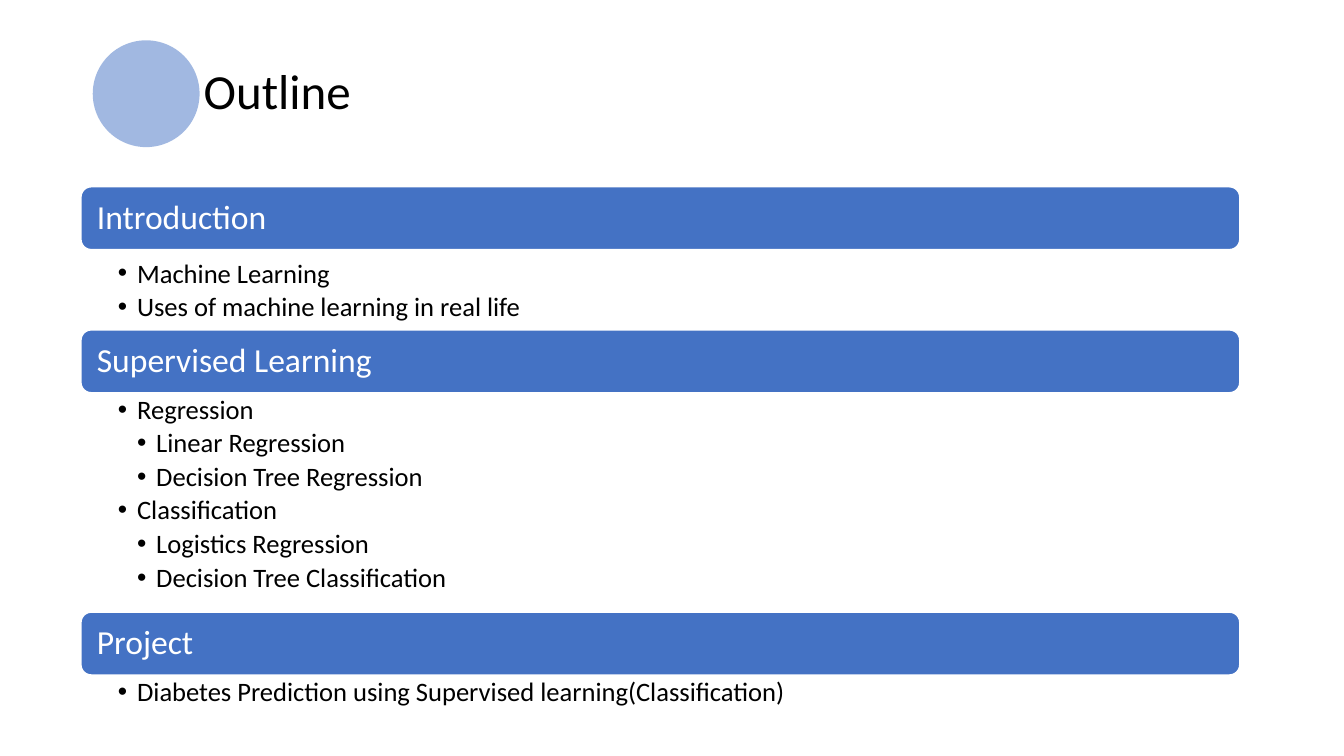
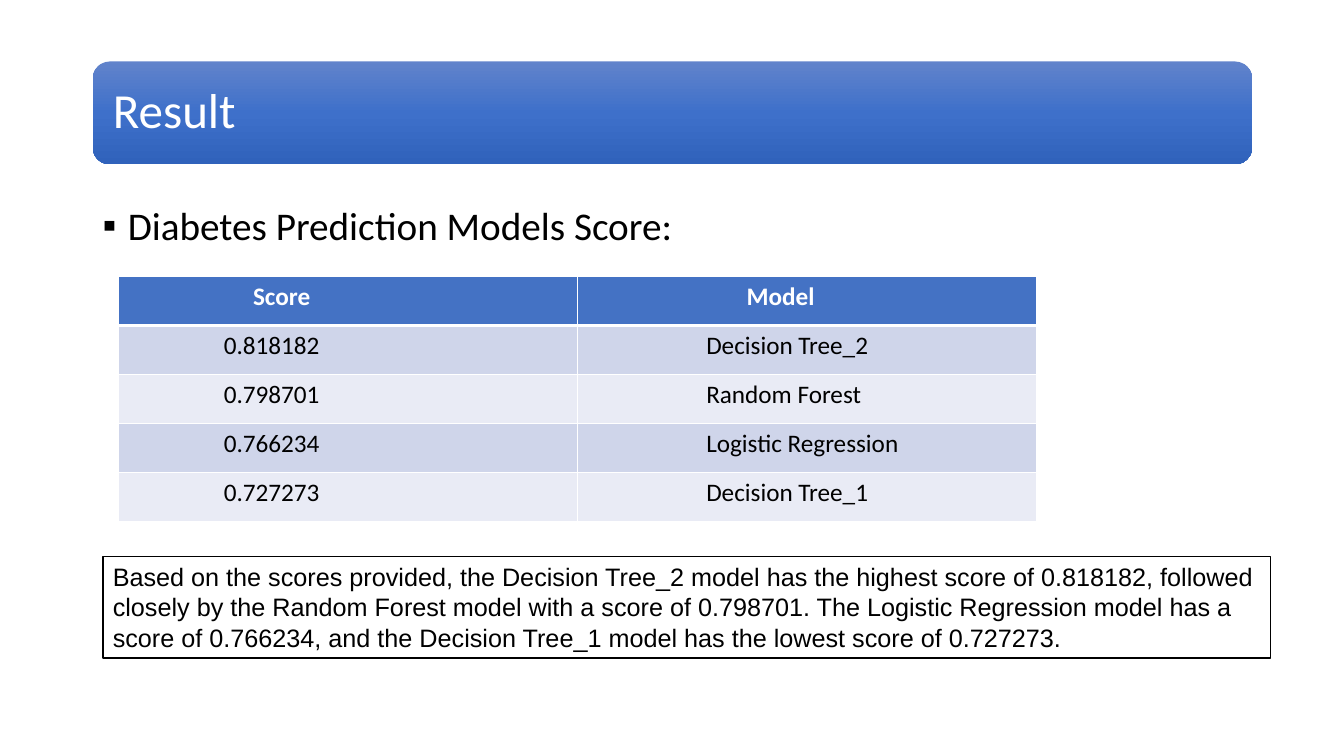
from dataclasses import dataclass
from typing import Any

from lxml import etree
from pptx import Presentation
from pptx.dml.color import RGBColor
from pptx.enum.shapes import MSO_SHAPE
from pptx.enum.text import MSO_ANCHOR, MSO_AUTO_SIZE, PP_ALIGN
from pptx.oxml.ns import qn
from pptx.util import Inches, Pt

OVAL, RECT, ROUND = MSO_SHAPE.OVAL, MSO_SHAPE.RECTANGLE, MSO_SHAPE.ROUNDED_RECTANGLE
TOP, MIDDLE = MSO_ANCHOR.TOP, MSO_ANCHOR.MIDDLE
LEFT, NO_FIT = PP_ALIGN.LEFT, MSO_AUTO_SIZE.NONE

COLORS = {
    "blue": "4472C4", "white": "FFFFFF", "black": "000000",
    "row_dark": "CFD5EA", "row_light": "E9EBF5",
}
TITLE_GRADIENT = [(0, "6183CB"), (50, "3E70CA"), (100, "3062BB")]
TITLE_LEFT = 0.92
BAND_LEFT, BAND_WIDTH, BAND_HEIGHT = 0.8, 11.5, 0.63
BULLET_INDENT = 0.19


@dataclass
class Bullet:
    text: str
    level: int = 1


@dataclass
class Section:
    heading: str
    bullets: list[Bullet]
    body_height: float
    gap: float = 0


@dataclass
class Column:
    heading: str
    heading_inset: float
    value_inset: float
    values: list[str]


SECTIONS = [
    Section("Introduction", [
        Bullet("Machine Learning"),
        Bullet("Uses of machine learning in real life"),
    ], 0.72, gap=0.07),
    Section("Supervised Learning", [
        Bullet("Regression"),
        Bullet("Linear Regression", 2),
        Bullet("Decision Tree Regression", 2),
        Bullet("Classification"),
        Bullet("Logistics Regression", 2),
        Bullet("Decision Tree Classification", 2),
    ], 2.17),
    Section("Project", [
        Bullet("Diabetes Prediction using Supervised learning(Classification)"),
    ], 0.43),
]
COLUMNS = [
    Column("Score", 1.34, 1.05, ["0.818182", "0.798701", "0.766234", "0.727273"]),
    Column("Model", 1.68, 1.28, ["Decision Tree_2", "Random Forest",
                                 "Logistic Regression", "Decision Tree_1"]),
]
SUMMARY = (
    "Based on the scores provided, the Decision Tree_2 model has the highest score of "
    "0.818182, followed closely by the Random Forest model with a score of 0.798701. "
    "The Logistic Regression model has a score of 0.766234, and the Decision Tree_1 "
    "model has the lowest score of 0.727273."
)


def rgb(name: str) -> RGBColor:
    return RGBColor.from_string(COLORS[name])


def box(*lengths: float) -> list[int]:
    return [Inches(n) for n in lengths]


def set_all(obj: Any, values: dict[str, Any]) -> None:
    for name, value in values.items():
        setattr(obj, name, value)


def set_frame(tf: Any, insets: tuple[float, ...], anchor: Any) -> None:
    """Insets run left, top, right, bottom."""
    left, top, right, bottom = box(*insets)
    set_all(tf, {"word_wrap": True, "auto_size": NO_FIT, "vertical_anchor": anchor,
                 "margin_left": left, "margin_top": top,
                 "margin_right": right, "margin_bottom": bottom})


def write(p: Any, text: str, size: float, color: str, bold: bool = False,
          font: str = "Calibri", spacing: float = 0.9) -> None:
    set_all(p, {"alignment": LEFT, "line_spacing": spacing})
    r = p.add_run()
    r.text = text
    set_all(r.font, {"name": font, "size": Pt(size), "bold": bold})
    r.font.color.rgb = rgb(color)


def add_bullet(p: Any, char: str, left: float, hanging: float) -> None:
    pPr = p._p.get_or_add_pPr()
    pPr.set("marL", str(Inches(left)))
    pPr.set("indent", str(-Inches(hanging)))
    etree.SubElement(pPr, qn("a:buFont"), typeface="Arial")
    etree.SubElement(pPr, qn("a:buChar"), char=char)


def add_shape(s: Any, kind: Any, at: tuple[float, ...], fill: str,
              line: str | None = None, width: float = 1) -> Any:
    sp = s.shapes.add_shape(kind, *box(*at))
    sp.shadow.inherit = False
    sp.fill.solid()
    sp.fill.fore_color.rgb = rgb(fill)
    if line:
        sp.line.color.rgb = rgb(line)
        sp.line.width = Pt(width)
    else:
        sp.line.fill.background()
    return sp


def set_gradient(sp: Any, stops: list[tuple[int, str]]) -> None:
    sp.fill.gradient()
    sp.fill.gradient_angle = 270
    stop_list = sp._element.spPr.find(f".//{qn('a:gsLst')}")
    for stop in list(stop_list):
        stop_list.remove(stop)
    for percent, color in stops:
        stop = etree.SubElement(stop_list, qn("a:gs"), pos=str(percent * 1000))
        etree.SubElement(stop, qn("a:srgbClr"), val=color)


def set_title(s: Any, text: str, at: tuple[float, ...], inset: float, color: str) -> None:
    title = s.shapes.title
    set_all(title, dict(zip(("left", "top", "width", "height"), box(*at))))
    set_frame(title.text_frame, (inset, 0.05, inset, 0.05), MIDDLE)
    write(title.text_frame.paragraphs[0], text, 35, color)
    # Bring the title in front of its band
    title._element.getparent().append(title._element)


def add_section(s: Any, section: Section, top: float) -> float:
    """Draws a band with its bullets and returns the bottom edge."""
    band = add_shape(s, ROUND, (BAND_LEFT, top, BAND_WIDTH, BAND_HEIGHT),
                     "blue", "white", 1.5)
    set_frame(band.text_frame, (0.13, 0.1, 0.13, 0.1), MIDDLE)
    write(band.text_frame.paragraphs[0], section.heading, 24, "white")

    body_top = top + BAND_HEIGHT + section.gap
    body = s.shapes.add_textbox(*box(BAND_LEFT, body_top, BAND_WIDTH, section.body_height))
    tf = body.text_frame
    set_frame(tf, (0.37, 0.03, 0.19, 0.03), TOP)
    for i, bullet in enumerate(section.bullets):
        p = tf.add_paragraph() if i else tf.paragraphs[0]
        add_bullet(p, "•", bullet.level * BULLET_INDENT, BULLET_INDENT)
        p.space_after = Pt(3.5)
        write(p, bullet.text, 19, "black")
    return body_top + section.body_height


def set_borders(cell: Any, bottom: float) -> None:
    tcPr = cell._tc.get_or_add_tcPr()
    for side, width in (("L", 1), ("R", 1), ("T", 1), ("B", bottom)):
        ln = etree.SubElement(tcPr, qn(f"a:ln{side}"), w=str(Pt(width)))
        fill = etree.SubElement(ln, qn("a:solidFill"))
        etree.SubElement(fill, qn("a:srgbClr"), val=COLORS["white"])


def fill_cell(cell: Any, text: str, inset: float, fill: str, header: bool) -> None:
    set_borders(cell, 3 if header else 1)
    cell.fill.solid()
    cell.fill.fore_color.rgb = rgb(fill)
    cell.margin_left = Inches(inset)
    write(cell.text_frame.paragraphs[0], text, 18,
          "white" if header else "black", bold=header, spacing=1.0)


def add_score_table(s: Any) -> None:
    rows = len(COLUMNS[0].values) + 1
    table = s.shapes.add_table(rows, len(COLUMNS), *box(1.17, 2.74, 9.11, 2.44)).table
    for col, column in enumerate(COLUMNS):
        fill_cell(table.cell(0, col), column.heading, column.heading_inset, "blue", True)
        for row, value in enumerate(column.values, 1):
            fill = "row_dark" if row % 2 else "row_light"
            fill_cell(table.cell(row, col), value, column.value_inset, fill, False)


def outline_slide(s: Any) -> None:
    # Title with a half-transparent disc
    disc = add_shape(s, OVAL, (TITLE_LEFT, 0.4, 1.06, 1.06), "blue")
    color = disc._element.spPr.find(f".//{qn('a:srgbClr')}")
    etree.SubElement(color, qn("a:alpha"), val="50000")
    set_title(s, "Outline", (2.02, 0.4, 8.8, 1.06), 0, "black")

    # Sections stacked from the top
    top = 1.85
    for section in SECTIONS:
        top = add_section(s, section, top)


def result_slide(s: Any) -> None:
    # Title band
    at = (TITLE_LEFT, 0.61, 11.5, 1.02)
    set_gradient(add_shape(s, ROUND, at, "blue"), TITLE_GRADIENT)
    set_title(s, "Result", at, 0.2, "white")

    # Lead line
    lead = s.shapes.add_textbox(*box(TITLE_LEFT, 2, 11.5, 0.6))
    set_frame(lead.text_frame, (0.1, 0.05, 0.1, 0.05), TOP)
    p = lead.text_frame.paragraphs[0]
    add_bullet(p, "▪", 0.25, 0.25)
    write(p, "Diabetes Prediction Models Score:", 28, "black")

    add_score_table(s)

    # Summary
    note = add_shape(s, RECT, (1.02, 5.52, 11.58, 1.01), "white", "black")
    set_frame(note.text_frame, (0.1, 0.05, 0.1, 0.05), TOP)
    write(note.text_frame.paragraphs[0], SUMMARY, 18, "black", font="Arial", spacing=1.0)


def main() -> None:
    prs = Presentation()
    set_all(prs, {"slide_width": Inches(13.33), "slide_height": Inches(7.5)})
    title_only = prs.slide_layouts[5]
    for build in (outline_slide, result_slide):
        build(prs.slides.add_slide(title_only))
    prs.save("out.pptx")


if __name__ == "__main__":
    main()
